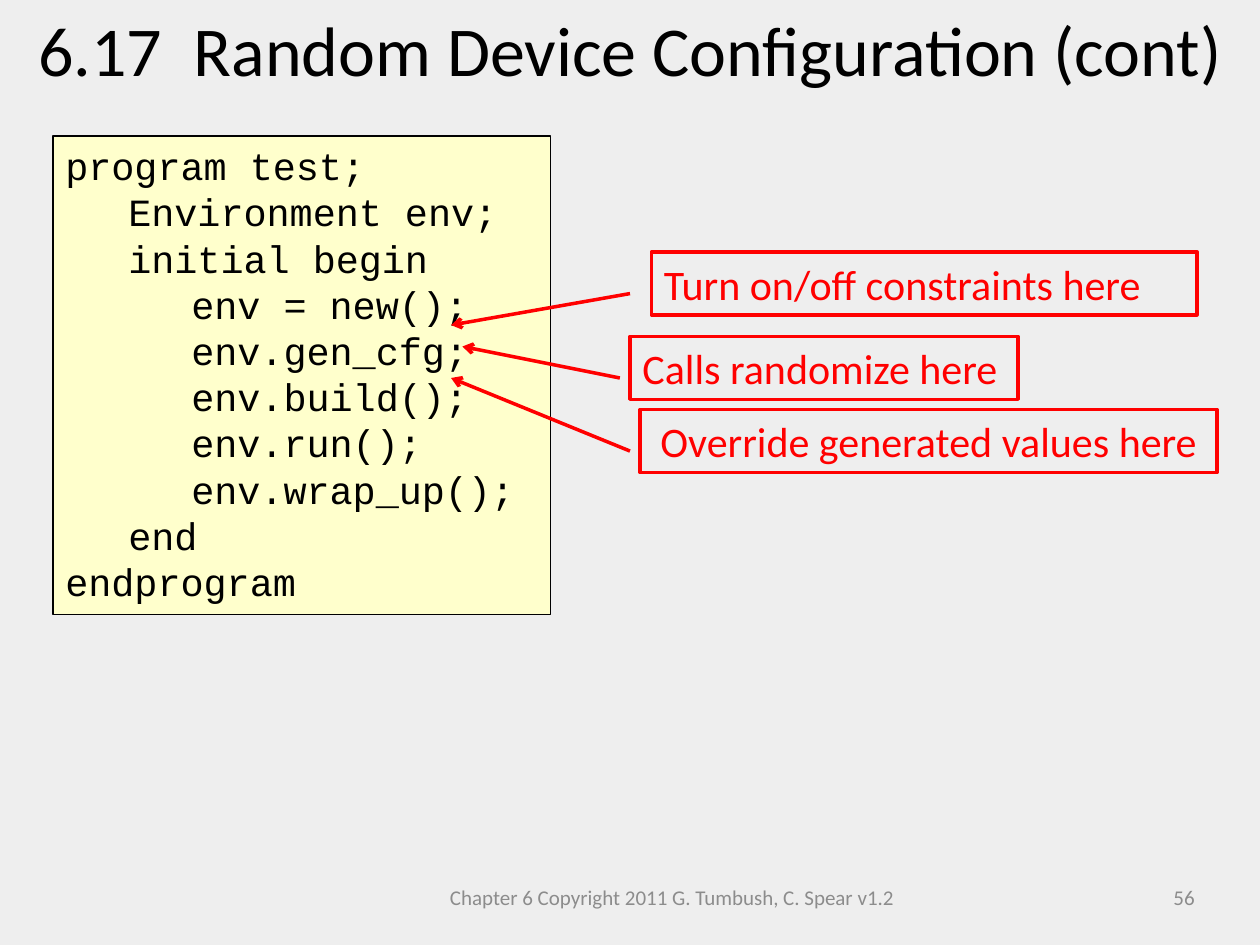
from pptx import Presentation
from pptx.dml.color import RGBColor
from pptx.enum.shapes import MSO_CONNECTOR, MSO_SHAPE
from pptx.enum.text import MSO_ANCHOR, PP_ALIGN
from pptx.oxml.ns import qn
from pptx.util import Inches, Pt
from lxml import etree

CODE = [
    (0, "program test;"),
    (1, "Environment env;"),
    (1, "initial begin"),
    (2, "env = new();"),
    (2, "env.gen_cfg;"),
    (2, "env.build();"),
    (2, "env.run();"),
    (2, "env.wrap_up();"),
    (1, "end"),
    (0, "endprogram"),
]
# text, box, alignment, arrow start, arrow end
CALLOUTS = [
    ("Turn on/off constraints here", (5.17, 2, 4.33, 0.5), PP_ALIGN.LEFT, (5, 2.33), (3.58, 2.58)),
    ("Override generated values here", (5.08, 3.25, 4.58, 0.5), PP_ALIGN.CENTER, (5, 3.58), (3.58, 3)),
    ("Calls randomize here", (5, 2.67, 3.08, 0.5), PP_ALIGN.LEFT, (4.92, 3), (3.67, 2.75)),
]
RED = "FF0000"


def rgb(value):
    return RGBColor.from_string(value)


def inches(values):
    return [Inches(v) for v in values]


def style(p, color, **formats):
    for name, value in formats.items():
        setattr(p.font, name, value)
    p.font.color.rgb = rgb(color)


def set_line(line, color, width):
    line.color.rgb = rgb(color)
    line.width = Pt(width)


def add_title(s, box, text):
    title = s.shapes.title
    title.left, title.top, title.width, title.height = inches(box)
    tf = title.text_frame
    tf.text = text
    tf.vertical_anchor = MSO_ANCHOR.TOP
    p = tf.paragraphs[0]
    p.alignment = PP_ALIGN.CENTER
    style(p, "000000", name="Calibri", size=Pt(40))


def add_footer(s, box, text, align):
    tf = s.shapes.add_textbox(*inches(box)).text_frame
    tf.word_wrap = True
    tf.vertical_anchor = MSO_ANCHOR.MIDDLE
    p = tf.paragraphs[0]
    p.text, p.alignment = text, align
    style(p, "8C8C8C", name="Calibri", size=Pt(12))


def add_box(s, box, line, width):
    sp = s.shapes.add_shape(MSO_SHAPE.RECTANGLE, *inches(box))
    sp.shadow.inherit = False
    sp.fill.background()
    set_line(sp.line, line, width)
    sp.text_frame.word_wrap = True
    sp.text_frame.vertical_anchor = MSO_ANCHOR.TOP
    return sp


def add_code(s, box, lines):
    sp = add_box(s, box, "000000", 0.75)
    sp.fill.solid()
    sp.fill.fore_color.rgb = rgb("FFFFCC")
    tf = sp.text_frame
    for i, (level, text) in enumerate(lines):
        p = tf.add_paragraph() if i else tf.paragraphs[0]
        p.text, p.level = text, level
        p.alignment = PP_ALIGN.LEFT
        p.line_spacing = Pt(26.4)
        pPr = p._p.get_or_add_pPr()
        pPr.set("marL", str(Inches(0.5 * level)))
        pPr.set("indent", "0")
        style(p, "000000", name="Courier New", size=Pt(22))


def add_arrow(s, start, end):
    line = s.shapes.add_connector(MSO_CONNECTOR.STRAIGHT, *inches(start + end))
    set_line(line.line, RED, 2)
    etree.SubElement(line.line._get_or_add_ln(), qn("a:tailEnd"), type="arrow")
    etree.SubElement(line._element.spPr, qn("a:effectLst"))


def add_callout(s, text, box, align, start, end):
    """Add a red framed note and the arrow from it to the code."""
    p = add_box(s, box, RED, 2).text_frame.paragraphs[0]
    p.text, p.alignment = text, align
    style(p, RED, name="Calibri", size=Pt(24))
    add_arrow(s, start, end)


def main():
    prs = Presentation()
    prs.slide_width, prs.slide_height = inches((10, 7.5))
    s = prs.slides.add_slide(prs.slide_layouts[5])
    s.background.fill.solid()
    s.background.fill.fore_color.rgb = rgb("EEEEEE")
    add_title(s, (0, 0, 10, 0.77), "6.17  Random Device Configuration (cont)")
    add_footer(s, (3.42, 6.92, 3.83, 0.4),
               "Chapter 6 Copyright 2011 G. Tumbush, C. Spear v1.2", PP_ALIGN.CENTER)
    add_footer(s, (7.25, 6.92, 2.33, 0.4), "56", PP_ALIGN.RIGHT)
    add_code(s, (0.42, 1.08, 3.95, 3.8), CODE)
    for callout in CALLOUTS:
        add_callout(s, *callout)
    prs.save("out.pptx")


if __name__ == "__main__":
    main()
